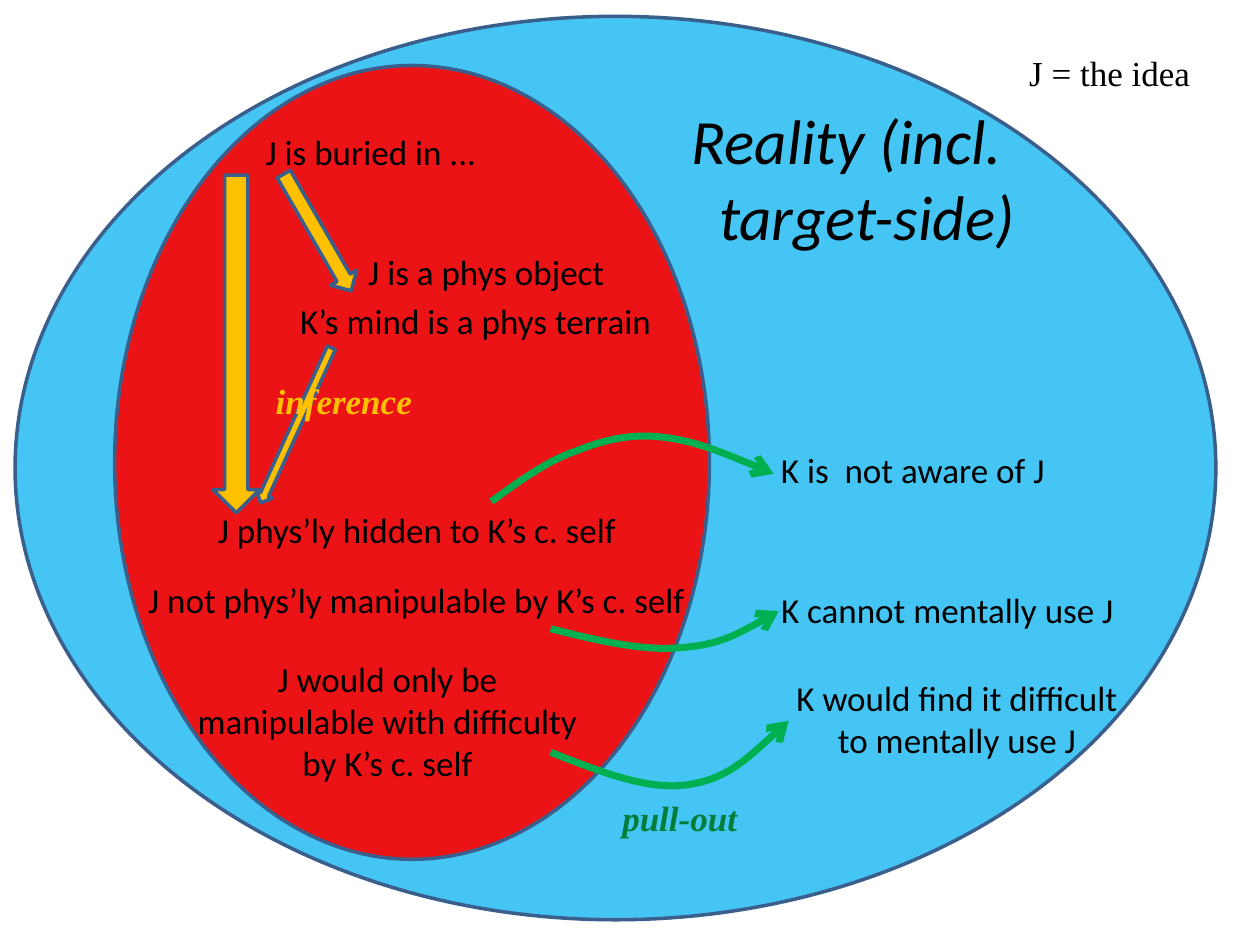
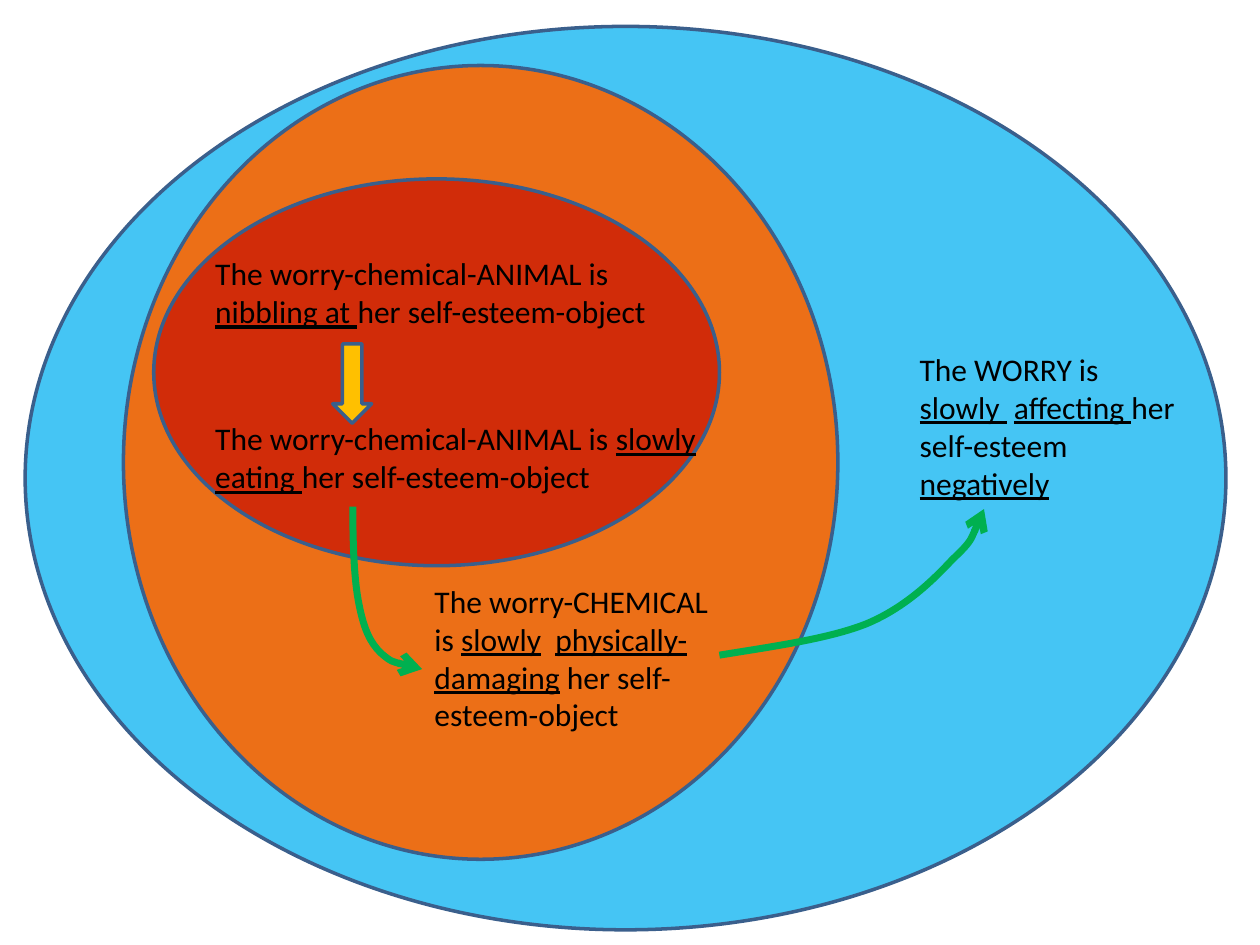
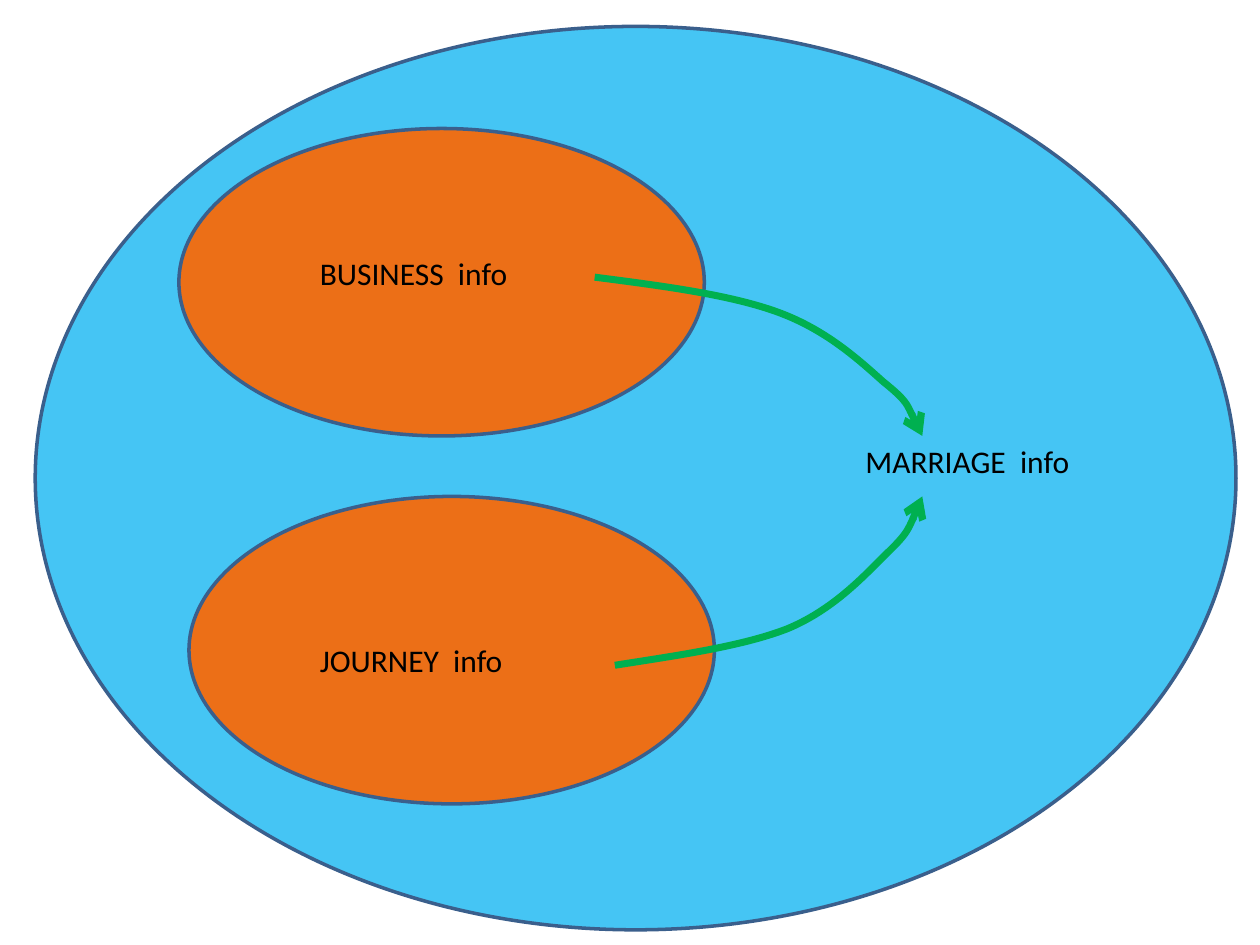
from pptx import Presentation
from pptx.dml.color import RGBColor
from pptx.enum import shapes, text
from pptx.oxml.ns import qn
from pptx.util import Inches, Pt
from lxml import etree

BLACK, GOLD, GREEN, DARK_GREEN = "000000", "FFC000", "00B050", "007E39"
OUTLINE = "3A5F8C"
REALITY, SOURCE, INNER = ("00B0F0", 73), ("FF6600", 90), ("C00000", 60)
MIND = ("FF0000", 90)
REALITY_SIZE, INFO_SIZE = (9.53, 7.17), (4.17, 2.44)
SERIF = "Times New Roman"
LEFT, CENTER, RIGHT = text.PP_ALIGN.LEFT, text.PP_ALIGN.CENTER, text.PP_ALIGN.RIGHT

IDEA_SLIDE = {
    "size": 20,
    "ovals": [
        ((0.12, 0.13, *REALITY_SIZE), REALITY),
        ((0.91, 0.52, 4.72, 6.3), MIND),
    ],
    "arrows": [
        ((1.69, 1.39, 0.37, 2.68), 0),
        ((2.4, 1.31, 0.24, 1.07), -30),
        ((2.28, 2.7, 0.14, 1.35), 24.5),
    ],
    "curves": [
        [(3.9, 3.98), (4.12, 3.82), (4.34, 3.66), (4.57, 3.58), (4.8, 3.49),
         (5, 3.44), (5.26, 3.47), (5.52, 3.5), (5.83, 3.63), (6.14, 3.76)],
        [(4.37, 4.99), (4.73, 5.08), (5.1, 5.17), (5.4, 5.14), (5.7, 5.12),
         (5.94, 4.99), (6.18, 4.85)],
        [(4.37, 5.97), (4.75, 6.12), (5.13, 6.27), (5.44, 6.23), (5.76, 6.19),
         (6.01, 5.95), (6.26, 5.72)],
    ],
    "labels": [
        ((6.1, 3.51, 2.44, 0.44), [(LEFT, ["K is  not aware of J"])], {}),
        ((6.1, 4.62, 2.99, 0.44), [(LEFT, ["K cannot mentally use J"])], {}),
        ((6.1, 5.32, 2.99, 0.77),
         [(CENTER, ["K would find it difficult to mentally use J"])], {}),
        ((2.01, 0.99, 2.28, 0.44), [(LEFT, ["J is buried in ..."])], {}),
        ((2.24, 2.33, 3.07, 0.44), [(CENTER, ["K’s mind is a phys terrain"])], {}),
        ((2.72, 1.94, 2.28, 0.44), [(CENTER, ["J is a phys object"])], {}),
        ((1.38, 3.99, 3.86, 0.44), [(CENTER, ["J phys’ly hidden to K’s c. self"])], {}),
        ((1.06, 4.54, 4.49, 0.44),
         [(CENTER, ["J not phys’ly manipulable by K’s c. self"])], {}),
        ((1.38, 5.17, 3.39, 1.11),
         [(CENTER, ["J would only be manipulable with difficulty by K’s c. self"])], {}),
        ((8.07, 0.36, 1.5, 0.44), [(LEFT, ["J = the idea"])], {"name": SERIF}),
        ((2.09, 2.96, 1.34, 0.44), [(LEFT, ["inference"])],
         {"name": SERIF, "color": GOLD, "bold": True, "italic": True}),
        ((4.84, 6.27, 1.18, 0.44), [(LEFT, ["pull-out"])],
         {"name": SERIF, "color": DARK_GREEN, "bold": True, "italic": True}),
        ((5.39, 0.76, 2.76, 1.31),
         [(LEFT, ["Reality (incl."]), (RIGHT, ["target-side)"])],
         {"size": 36, "italic": True}),
    ],
}

WORRY_SLIDE = {
    "size": 18,
    "ovals": [
        ((0.2, 0.21, *REALITY_SIZE), REALITY),
        ((0.98, 0.52, 5.67, 6.3), SOURCE),
        ((1.22, 1.42, 4.49, 3.07), INNER),
    ],
    "arrows": [((2.64, 2.73, 0.31, 0.63), 0)],
    "curves": [
        [(5.71, 5.2), (6.14, 5.13), (6.58, 5.07), (6.88, 4.95), (7.19, 4.82),
         (7.41, 4.6), (7.56, 4.44), (7.72, 4.29), (7.76, 4.17), (7.81, 4.04)],
        [(2.8, 4.02), (2.8, 4.31), (2.81, 4.61), (2.85, 4.8), (2.89, 5),
         (2.94, 5.1), (3.02, 5.18), (3.11, 5.26), (3.23, 5.29), (3.35, 5.31)],
    ],
    "labels": [
        ((7.2, 2.73, 2.28, 1.31),
         [(LEFT, ["The WORRY is ", "slowly ", " ", "affecting ",
                  "her self-esteem ", "negatively"])], {}),
        ((3.35, 4.57, 2.44, 1.31),
         [(LEFT, ["The worry-CHEMICAL is ", "slowly", "  ", "physically-damaging",
                  " her self-esteem-object"])], {}),
        ((1.61, 1.97, 3.86, 0.71),
         [(LEFT, ["The worry-chemical-ANIMAL is ", "nibbling at ",
                  "her self-esteem-object"])], {}),
        ((1.61, 3.28, 4.09, 0.71),
         [(LEFT, ["The worry-chemical-ANIMAL is ", "slowly eating ",
                  "her self-esteem-object"])], {}),
    ],
}

MARRIAGE_SLIDE = {
    "size": 18,
    "ovals": [
        ((0.28, 0.21, *REALITY_SIZE), REALITY),
        ((1.42, 1.02, *INFO_SIZE), SOURCE),
        ((1.5, 3.94, *INFO_SIZE), SOURCE),
    ],
    "arrows": [],
    "curves": [
        [(4.72, 2.2), (5.26, 2.27), (5.8, 2.34), (6.18, 2.48), (6.56, 2.62),
         (6.82, 2.86), (7.01, 3.03), (7.21, 3.19), (7.26, 3.33), (7.32, 3.46)],
        [(4.88, 5.28), (5.39, 5.2), (5.89, 5.13), (6.25, 4.99), (6.61, 4.84),
         (6.85, 4.58), (7.03, 4.4), (7.21, 4.23), (7.27, 4.08), (7.32, 3.94)],
    ],
    "labels": [
        ((6.77, 3.46, 1.97, 0.4), [(LEFT, ["MARRIAGE  info"])], {}),
        ((2.44, 1.97, 1.97, 0.4), [(LEFT, ["BUSINESS  info"])], {}),
        ((2.44, 5.04, 1.97, 0.4), [(LEFT, ["JOURNEY  info"])], {}),
    ],
}


def rgb(color):
    return RGBColor.from_string(color)


def set_line(shape, color, width):
    shape.shadow.inherit = False
    shape.line.color.rgb = rgb(color)
    shape.line.width = Pt(width)


def add_block(slide, kind, box, color, opacity=100, rotation=0):
    shape = slide.shapes.add_shape(kind, *map(Inches, box))
    shape.rotation = rotation
    shape.fill.solid()
    shape.fill.fore_color.rgb = rgb(color)
    set_line(shape, OUTLINE, 2)
    if opacity < 100:
        fill_color = shape.fill._xPr.find(f"{qn('a:solidFill')}/{qn('a:srgbClr')}")
        etree.SubElement(fill_color, qn("a:alpha"), val=str(opacity * 1000))


def add_curve(slide, points):
    start, *rest = [(Inches(x), Inches(y)) for x, y in points]
    builder = slide.shapes.build_freeform(*start)
    builder.add_line_segments(rest, close=False)
    shape = builder.convert_to_shape()
    shape.fill.background()
    set_line(shape, GREEN, 4)
    outline = shape.line._get_or_add_ln()
    etree.SubElement(outline, qn("a:tailEnd"), type="arrow")
    path = next(shape._element.iter(qn("a:path")))
    segments = path.findall(qn("a:lnTo"))
    for first in range(0, len(segments), 3):
        cubic = etree.SubElement(path, qn("a:cubicBezTo"))
        for segment in segments[first:first + 3]:
            cubic.append(segment[0])
            path.remove(segment)


def add_label(slide, box, paragraphs, size=20, name="Calibri", color=BLACK,
              bold=False, italic=False):
    frame = slide.shapes.add_textbox(*map(Inches, box)).text_frame
    frame.word_wrap = True
    frame.auto_size = text.MSO_AUTO_SIZE.SHAPE_TO_FIT_TEXT
    for index, (alignment, runs) in enumerate(paragraphs):
        paragraph = frame.add_paragraph() if index else frame.paragraphs[0]
        paragraph.alignment = alignment
        for position, words in enumerate(runs):
            run = paragraph.add_run()
            run.text = words
            font = run.font
            font.size, font.name = Pt(size), name
            font.bold, font.italic = bold, italic
            font.underline = position % 2 == 1
            font.color.rgb = rgb(color)


def build_slide(presentation, content):
    slide = presentation.slides.add_slide(presentation.slide_layouts[6])
    for box, (color, opacity) in content["ovals"]:
        add_block(slide, shapes.MSO_SHAPE.OVAL, box, color, opacity)
    for box, rotation in content["arrows"]:
        add_block(slide, shapes.MSO_SHAPE.DOWN_ARROW, box, GOLD, rotation=rotation)
    for points in content["curves"]:
        add_curve(slide, points)
    for box, paragraphs, style in content["labels"]:
        add_label(slide, box, paragraphs, **{"size": content["size"], **style})


def main():
    presentation = Presentation()
    presentation.slide_width, presentation.slide_height = Inches(10), Inches(7.5)
    for content in (IDEA_SLIDE, WORRY_SLIDE, MARRIAGE_SLIDE):
        build_slide(presentation, content)
    presentation.save("out.pptx")


if __name__ == "__main__":
    main()
